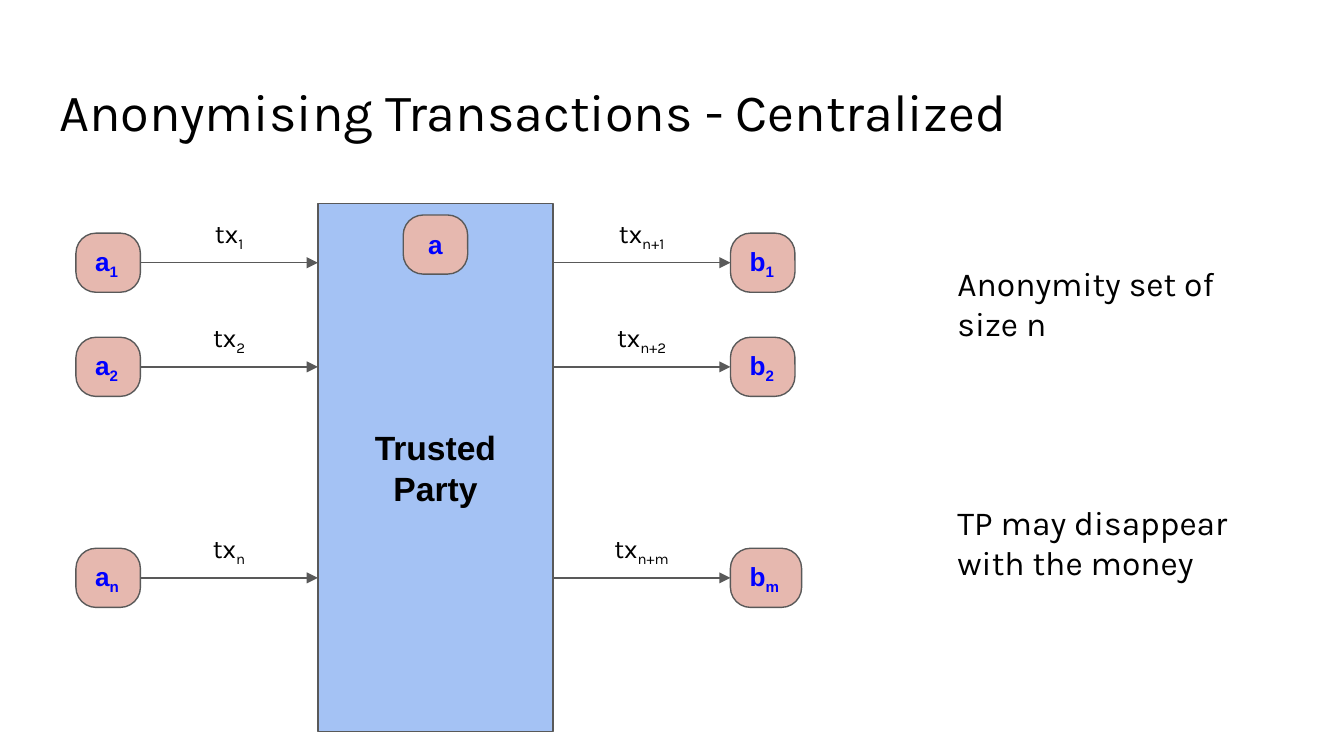
from lxml import etree
from pptx import Presentation
from pptx.dml.color import RGBColor
from pptx.enum import shapes, text
from pptx.oxml.ns import qn
from pptx.util import Pt

PX = 4572  # 200 px to the inch
HUES = {"ink": "000000", "key": "0000FF", "line": "595959",
        "party": "A4C2F4", "node": "E6B8AF"}
LEFT, MID = text.PP_ALIGN.LEFT, text.PP_ALIGN.CENTER
TOP, CORE = text.MSO_ANCHOR.TOP, text.MSO_ANCHOR.MIDDLE
KEY = {"name": "Arial", "size": Pt(14), "bold": True}
TAG = {"name": "Karla", "size": Pt(14)}
NOTE = {"name": "Karla", "size": Pt(18)}


def write(shape, words, style, hue="ink", sub="", align=LEFT, anchor=TOP):
    frame = shape.text_frame
    frame.word_wrap = True
    frame.auto_size = text.MSO_AUTO_SIZE.NONE
    frame.vertical_anchor = anchor
    for side in ("left", "top", "right", "bottom"):
        setattr(frame, f"margin_{side}", 20 * PX)
    para = frame.paragraphs[0]
    para.text = words
    para.alignment = align
    if sub:
        run = para.add_run()
        run.text = sub
        run._r.get_or_add_rPr().set("baseline", "-25000")
    for run in para.runs:
        for key, value in style.items():
            setattr(run.font, key, value)
        run.font.color.rgb = RGBColor.from_string(HUES[hue])


def block(kind, x, y, w, h, fill):
    shape = slide.shapes.add_shape(kind, x * PX, y * PX, w * PX, h * PX)
    shape.shadow.inherit = False
    shape.fill.solid()
    shape.fill.fore_color.rgb = RGBColor.from_string(HUES[fill])
    shape.line.color.rgb = RGBColor.from_string(HUES["line"])
    shape.line.width = Pt(0.75)
    if kind == shapes.MSO_SHAPE.ROUNDED_RECTANGLE:
        shape.adjustments[0] = 0.34
    return shape


deck = Presentation()
deck.slide_width, deck.slide_height = 2000 * PX, 1125 * PX
slide = deck.slides.add_slide(deck.slide_layouts[5])

# Title
title = slide.shapes.title
place = {"left": 68, "top": 98, "width": 1864, "height": 126}
for key, value in place.items():
    setattr(title, key, value * PX)
write(title, "Anonymising Transactions - Centralized",
      {"name": "Karla", "size": Pt(28)})

# Trusted party with its own address
party = block(shapes.MSO_SHAPE.RECTANGLE, 473, 303, 350, 786, "party")
write(party, "Trusted\vParty", {**KEY, "size": Pt(18)}, align=MID, anchor=CORE)
own = block(shapes.MSO_SHAPE.ROUNDED_RECTANGLE, 600, 320, 96, 88, "node")
write(own, "a", KEY, "key", align=MID, anchor=CORE)

# Senders and receivers: node x, arrow start and end, label x
sides = [("a", 113, 209, 473, 265), ("b", 1087, 823, 1087, 879)]
rows = [(391, ("1", "1"), ("1", "n+1")),
        (546, ("2", "2"), ("2", "n+2")),
        (860, ("n", "n"), ("m", "n+m"))]
for y, *subs in rows:
    for (name, x, start, end, tag), (sub, tx) in zip(sides, subs):
        wide = 106 if sub == "m" else 96
        node = block(shapes.MSO_SHAPE.ROUNDED_RECTANGLE,
                     x, y - 44, wide, 88, "node")
        write(node, name, KEY, "key", sub, anchor=CORE)

        arrow = slide.shapes.add_connector(
            shapes.MSO_CONNECTOR.STRAIGHT,
            start * PX, y * PX, end * PX, y * PX)
        arrow.line.color.rgb = RGBColor.from_string(HUES["line"])
        arrow.line.width = Pt(0.75)
        tip = etree.SubElement(arrow.line._get_or_add_ln(), qn("a:tailEnd"))
        tip.set("type", "triangle")
        etree.SubElement(arrow._element.spPr, qn("a:effectLst"))

        label = slide.shapes.add_textbox(tag * PX, (y - 88) * PX,
                                         152 * PX, 88 * PX)
        write(label, "tx", TAG, sub=tx, align=MID)

# Remarks
for y, words in [(371, "Anonymity set of size n"),
                 (727, "TP may disappear with the money")]:
    note = slide.shapes.add_textbox(1405 * PX, y * PX, 470 * PX, 162 * PX)
    write(note, words, NOTE)

deck.save("out.pptx")
